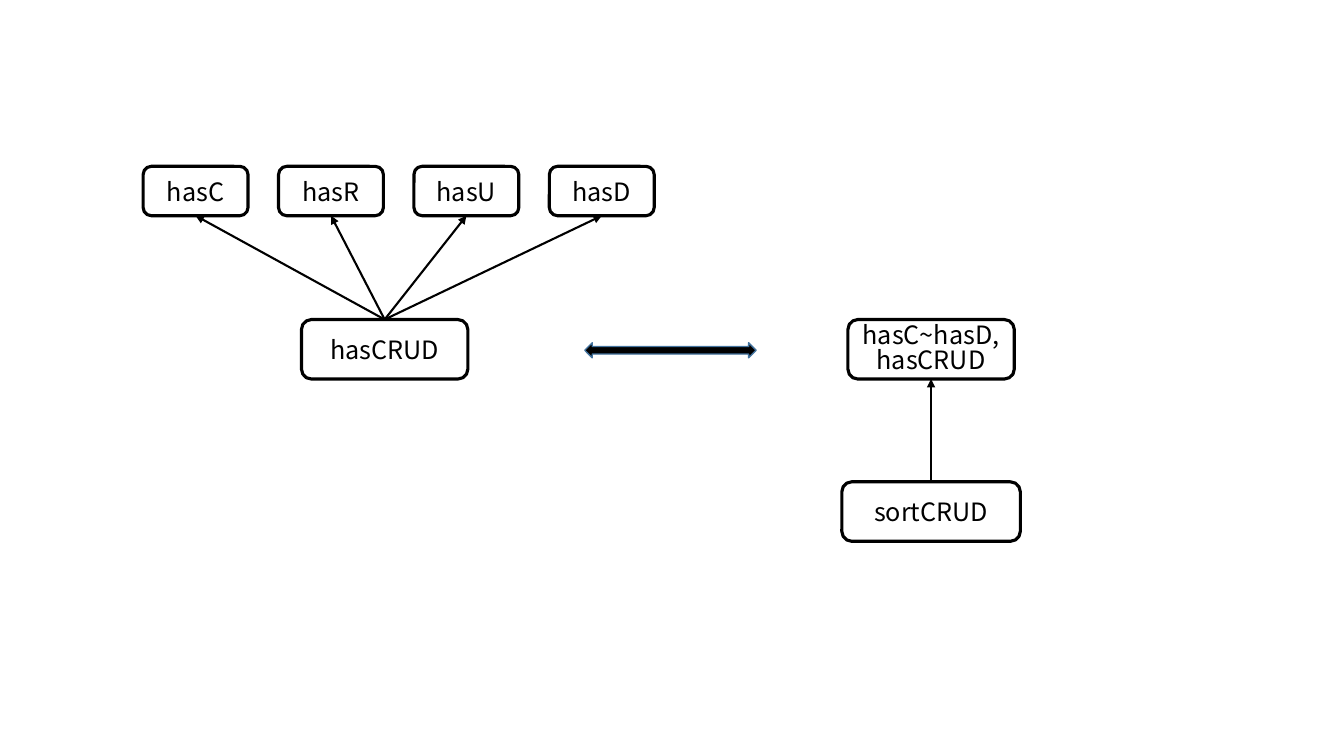
from lxml import etree
from pptx import Presentation
from pptx.dml.color import RGBColor
from pptx.enum.shapes import MSO_CONNECTOR, MSO_SHAPE
from pptx.enum.text import MSO_ANCHOR, PP_ALIGN
from pptx.oxml.ns import qn
from pptx.util import Inches, Pt

ROUNDED = MSO_SHAPE.ROUNDED_RECTANGLE
DOUBLE_ARROW = MSO_SHAPE.LEFT_RIGHT_ARROW
STRAIGHT = MSO_CONNECTOR.STRAIGHT
MIDDLE = MSO_ANCHOR.MIDDLE
CENTER = PP_ALIGN.CENTER

BLACK = RGBColor(0x00, 0x00, 0x00)
ARROW_EDGE = RGBColor(0x43, 0x73, 0x9E)

TOP, BOTTOM = 0, 2


class Diagram:
    font = "Noto Sans CJK KR"
    size = Pt(18)
    tight_spacing = 0.82

    def __init__(self, slide):
        self.slide = slide

    def box(self, lines, left, top, width, height):
        shape = self.slide.shapes.add_shape(
            ROUNDED, Inches(left), Inches(top), Inches(width), Inches(height))
        shape.shadow.inherit = False
        shape.fill.background()
        shape.line.color.rgb = BLACK
        shape.line.width = Pt(2.25)
        frame = shape.text_frame
        frame.word_wrap = True
        frame.vertical_anchor = MIDDLE
        for index, text in enumerate(lines):
            paragraph = frame.add_paragraph() if index else frame.paragraphs[0]
            paragraph.alignment = CENTER
            if len(lines) > 1:
                paragraph.line_spacing = self.tight_spacing
            run = paragraph.add_run()
            run.text = text
            run.font.name = self.font
            run.font.size = self.size
            run.font.color.rgb = BLACK
        return shape

    def arrow(self, child, parent):
        connector = self.slide.shapes.add_connector(STRAIGHT, 0, 0, 0, 0)
        connector.begin_connect(child, TOP)
        connector.end_connect(parent, BOTTOM)
        connector.line.color.rgb = BLACK
        connector.line.width = Pt(1.5)
        outline = connector.line._get_or_add_ln()
        etree.SubElement(outline, qn("a:tailEnd"), type="triangle")
        etree.SubElement(connector._element.spPr, qn("a:effectLst"))

    def double_arrow(self, left, top, width, height):
        shape = self.slide.shapes.add_shape(
            DOUBLE_ARROW, Inches(left), Inches(top), Inches(width), Inches(height))
        shape.shadow.inherit = False
        shape.fill.solid()
        shape.fill.fore_color.rgb = BLACK
        shape.line.color.rgb = ARROW_EDGE
        shape.line.width = Pt(1)


presentation = Presentation()
presentation.slide_width = Inches(13.33)
presentation.slide_height = Inches(7.5)
diagram = Diagram(presentation.slides.add_slide(presentation.slide_layouts[6]))

single_traits = [
    diagram.box([f"has{letter}"], 1.42 + 1.343 * column, 1.65, 1.04, 0.49)
    for column, letter in enumerate("CRUD")
]
combined_trait = diagram.box(["hasCRUD"], 2.99, 3.17, 1.65, 0.59)
for trait in single_traits:
    diagram.arrow(combined_trait, trait)

sorted_trait = diagram.box(["sortCRUD"], 8.35, 4.78, 1.77, 0.59)
all_traits = diagram.box(["hasC~hasD,", "hasCRUD"], 8.41, 3.17, 1.65, 0.59)
diagram.double_arrow(5.8, 3.4, 1.7, 0.15)
diagram.arrow(sorted_trait, all_traits)

presentation.save("out.pptx")
